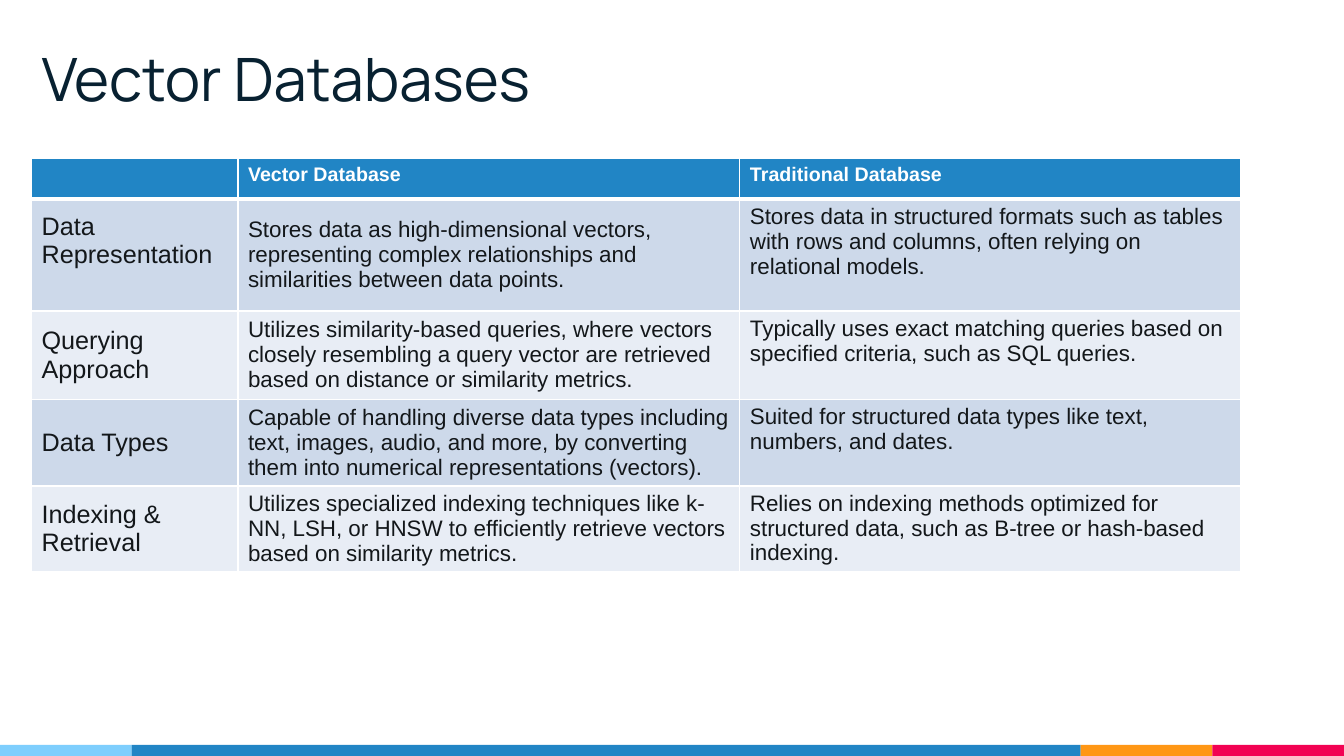
from dataclasses import dataclass
from lxml.etree import SubElement
from pptx import Presentation
from pptx.dml.color import RGBColor
from pptx.enum.shapes import MSO_SHAPE
from pptx.enum.text import MSO_ANCHOR, MSO_AUTO_SIZE, PP_ALIGN
from pptx.oxml.ns import qn
from pptx.util import Pt


@dataclass(frozen=True)
class Theme:
    navy: str = "082131"
    ink: str = "13171A"
    white: str = "FFFFFF"
    blue: str = "2185C5"
    sky: str = "7ECEFD"
    orange: str = "FF9715"
    red: str = "F20253"
    bands: tuple = ("CDD9EA", "E8EDF5")
    head: str = "Manrope"
    body: str = "Arial"
    title: float = 42.7
    label: float = 18
    text: float = 16
    top: float = 14


theme = Theme()


def style(par, font, size, color, bold=False):
    par.font.name = font
    par.font.size = Pt(size)
    par.font.bold = bold
    par.font.color.rgb = RGBColor.from_string(color)


def border(cell, base):
    """Draw white cell edges, with the bottom edge base points wide."""
    props = cell._tc.get_or_add_tcPr()
    for tag, width in (("lnL", 1), ("lnR", 1), ("lnT", 1), ("lnB", base)):
        line = SubElement(props, qn(f"a:{tag}"), w=str(Pt(width)))
        fill = SubElement(line, qn("a:solidFill"))
        SubElement(fill, qn("a:srgbClr"), val=theme.white)


deck = Presentation()
deck.slide_width, deck.slide_height = Pt(960), Pt(540)
slide = deck.slides.add_slide(deck.slide_layouts[5])

# Footer stripe
left = 0
for width, color in ((94, theme.sky), (678, theme.blue),
                     (94, theme.orange), (94, theme.red)):
    bar = slide.shapes.add_shape(MSO_SHAPE.RECTANGLE, Pt(left), Pt(532), Pt(width), Pt(8))
    bar.shadow.inherit = False
    bar.fill.solid()
    bar.fill.fore_color.rgb = RGBColor.from_string(color)
    bar.line.fill.background()
    left += width

# Title
title = slide.shapes.title
title.left, title.top, title.width, title.height = Pt(22.5), Pt(21), Pt(750), Pt(69)
frame = title.text_frame
frame.text = "Vector Databases"
frame.word_wrap = True
frame.auto_size = MSO_AUTO_SIZE.NONE
frame.vertical_anchor = MSO_ANCHOR.MIDDLE
frame.paragraphs[0].alignment = PP_ALIGN.LEFT
style(frame.paragraphs[0], theme.head, theme.title, theme.navy)

# Comparison table
rows = [
    ("", "Vector Database", "Traditional Database"),
    ("Data Representation",
     "Stores data as high-dimensional vectors, representing complex relationships "
     "and similarities between data points.",
     "Stores data in structured formats such as tables with rows and columns, "
     "often relying on relational models."),
    ("Querying Approach",
     "Utilizes similarity-based queries, where vectors closely resembling a query "
     "vector are retrieved based on distance or similarity metrics.",
     "Typically uses exact matching queries based on specified criteria, "
     "such as SQL queries."),
    ("Data Types",
     "Capable of handling diverse data types including text, images, audio, and more, "
     "by converting them into numerical representations (vectors).",
     "Suited for structured data types like text, numbers, and dates."),
    ("Indexing & Retrieval",
     "Utilizes specialized indexing techniques like k-NN, LSH, or HNSW to efficiently "
     "retrieve vectors based on similarity metrics.",
     "Relies on indexing methods optimized for structured data, such as B-tree "
     "or hash-based indexing."),
]
widths = (147.5, 358.5, 357.5)
heights = (29, 80, 63, 62, 61)
table = slide.shapes.add_table(len(rows), len(widths), Pt(22.5), Pt(113),
                               Pt(sum(widths)), Pt(sum(heights))).table
table.horz_banding = False
for col, width in zip(table.columns, widths):
    col.width = Pt(width)
for r, (row, height) in enumerate(zip(rows, heights)):
    table.rows[r].height = Pt(height)
    header = r == 0
    for c, text in enumerate(row):
        cell = table.cell(r, c)
        border(cell, 3 if header else 1)
        cell.fill.solid()
        color = theme.blue if header else theme.bands[(r - 1) % 2]
        cell.fill.fore_color.rgb = RGBColor.from_string(color)
        cell.vertical_anchor = MSO_ANCHOR.TOP if header or c == 2 else MSO_ANCHOR.MIDDLE
        if not text:
            continue
        cell.text = text
        size = theme.top if header else theme.label if c == 0 else theme.text
        style(cell.text_frame.paragraphs[0], theme.body, size,
              theme.white if header else theme.ink, header)
table.cell(1, 0).margin_bottom = Pt(24)

deck.save("out.pptx")
